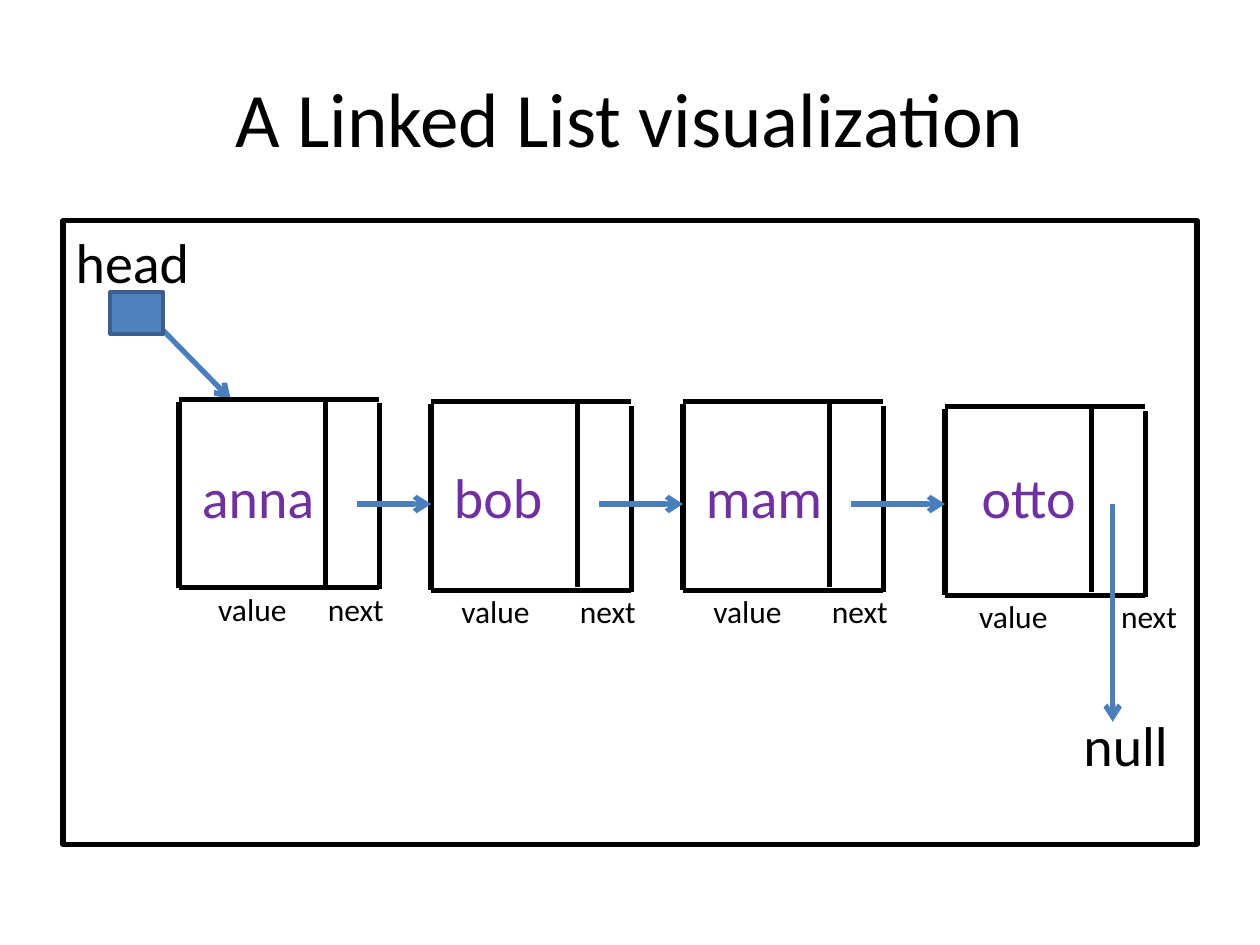
"""Build the slide that shows a linked list of four nodes."""
from lxml import etree
from pptx import Presentation
from pptx.dml.color import RGBColor
from pptx.enum.shapes import MSO_CONNECTOR, MSO_SHAPE
from pptx.enum.text import MSO_ANCHOR, PP_ALIGN
from pptx.oxml.ns import qn
from pptx.util import Cm, Pt

COLORS = {"ink": "000000", "word": "7030A0", "arrow": "4B7EBC",
          "head_fill": "4F81BD", "head_line": "3A5F8C"}
FONT = "Calibri"
NODE_WIDTH, NODE_HEIGHT, VALUE_WIDTH = 4.04, 3.8, 2.95
WORD_ROW, ARROW_ROW, LABEL_GAP = 10, 10.16, 0.42
NODES = [
    ("anna", 3.61, 8.05, 0.46, 0.79, 3),
    ("bob", 8.69, 8.1, 0.46, 0.61, 3),
    ("mam", 13.77, 8.1, 0.46, 0.61, 3),
    ("otto", 19.05, 8.2, 0.74, 0.69, 3.55),
]


def rgb(name):
    """Return the named palette colour."""
    return RGBColor.from_string(COLORS[name])


def place(shape, left, top, width, height):
    """Move and size a shape in centimetres."""
    shape.left, shape.top = Cm(left), Cm(top)
    shape.width, shape.height = Cm(width), Cm(height)


def style(paragraph, size, color="ink"):
    """Set the font of a paragraph."""
    font = paragraph.font
    font.name, font.size = FONT, Pt(size)
    font.color.rgb = rgb(color)


def add_label(slide, text, left, middle, width, size, color="ink"):
    """Add one line of text centred vertically on a row."""
    height = 1.4
    box = slide.shapes.add_textbox(Cm(left), Cm(middle - height / 2), Cm(width), Cm(height))
    frame = box.text_frame
    frame.word_wrap = True
    frame.vertical_anchor = MSO_ANCHOR.MIDDLE
    frame.margin_left = frame.margin_right = frame.margin_top = frame.margin_bottom = 0
    frame.text = text
    style(frame.paragraphs[0], size, color)


def add_line(slide, start, end, color="ink", arrow=False):
    """Draw a straight line, with an arrowhead at its end if asked."""
    line = slide.shapes.add_connector(
        MSO_CONNECTOR.STRAIGHT, *(Cm(value) for value in (*start, *end)))
    line.line.color.rgb = rgb(color)
    line.line.width = Pt(3)
    if arrow:
        etree.SubElement(line.line._get_or_add_ln(), qn("a:tailEnd"), type="arrow")
    etree.SubElement(line._element.spPr, qn("a:effectLst"))


def add_title(slide, left, top, width, height):
    """Fill the title placeholder."""
    title = slide.shapes.title
    place(title, left, top, width, height)
    title.text_frame.text = "A Linked List visualization"
    paragraph = title.text_frame.paragraphs[0]
    paragraph.alignment = PP_ALIGN.CENTER
    style(paragraph, 44)


def add_frame(slide, left, top, width, height):
    """Fill the body placeholder with the head label and outline it."""
    body = slide.placeholders[1]
    place(body, left, top, width, height)
    body.line.color.rgb = rgb("ink")
    body.line.width = Pt(3)
    body.text_frame.text = "head"
    paragraph = body.text_frame.paragraphs[0]
    style(paragraph, 32)
    properties = paragraph._p.get_or_add_pPr()
    properties.set("marL", "0")
    properties.set("indent", "0")
    properties.insert_element_before(
        etree.SubElement(properties, qn("a:buNone")), "a:tabLst", "a:defRPr", "a:extLst")


def add_node(slide, word, left, top, word_inset, value_inset, next_inset):
    """Draw a node with its word, its cell lines and the field labels below it."""
    right, bottom = left + NODE_WIDTH, top + NODE_HEIGHT
    label_row = bottom + LABEL_GAP
    add_label(slide, word, left + word_inset, WORD_ROW, 2.5, 32, "word")
    add_label(slide, "value", left + value_inset, label_row, 1.8, 18)
    add_label(slide, "next", left + next_inset, label_row, 1.4, 18)
    for y in (top, bottom):
        add_line(slide, (left, y), (right, y))
    for x, drop, end in ((left, 0.05, 0), (left + VALUE_WIDTH, 0, -0.06),
                         (right, 0.08, 0.03)):
        add_line(slide, (x, top + drop), (x, bottom + end))


def add_head(slide, left, top, width, height):
    """Draw the head pointer box."""
    box = slide.shapes.add_shape(MSO_SHAPE.RECTANGLE, Cm(left), Cm(top), Cm(width), Cm(height))
    box.shadow.inherit = False
    box.fill.solid()
    box.fill.fore_color.rgb = rgb("head_fill")
    box.line.color.rgb = rgb("head_line")
    box.line.width = Pt(2)


def add_links(slide):
    """Draw the arrows from node to node and from the last node to null."""
    starts = (7.19, 12.07, 17.15)
    for start, (_, left, *_) in zip(starts, NODES[1:]):
        add_line(slide, (start, ARROW_ROW), (left, ARROW_ROW), "arrow", True)
    add_line(slide, (22.43, ARROW_ROW), (22.43, 14.55), "arrow", True)


def build():
    """Build and save the slide."""
    deck = Presentation()
    deck.slide_width, deck.slide_height = Cm(25.4), Cm(19.05)
    slide = deck.slides.add_slide(deck.slide_layouts[1])
    add_title(slide, 1.27, 0.76, 22.86, 3.18)
    add_frame(slide, 1.27, 4.45, 22.86, 12.57)
    add_label(slide, "null", 21.84, 15, 2, 32)
    add_line(slide, (3.18, 6.55), (4.65, 8.05), "arrow", True)
    for node in NODES:
        add_node(slide, *node)
    add_links(slide)
    add_head(slide, 2.22, 5.89, 1.07, 0.84)
    deck.save("out.pptx")


build()
